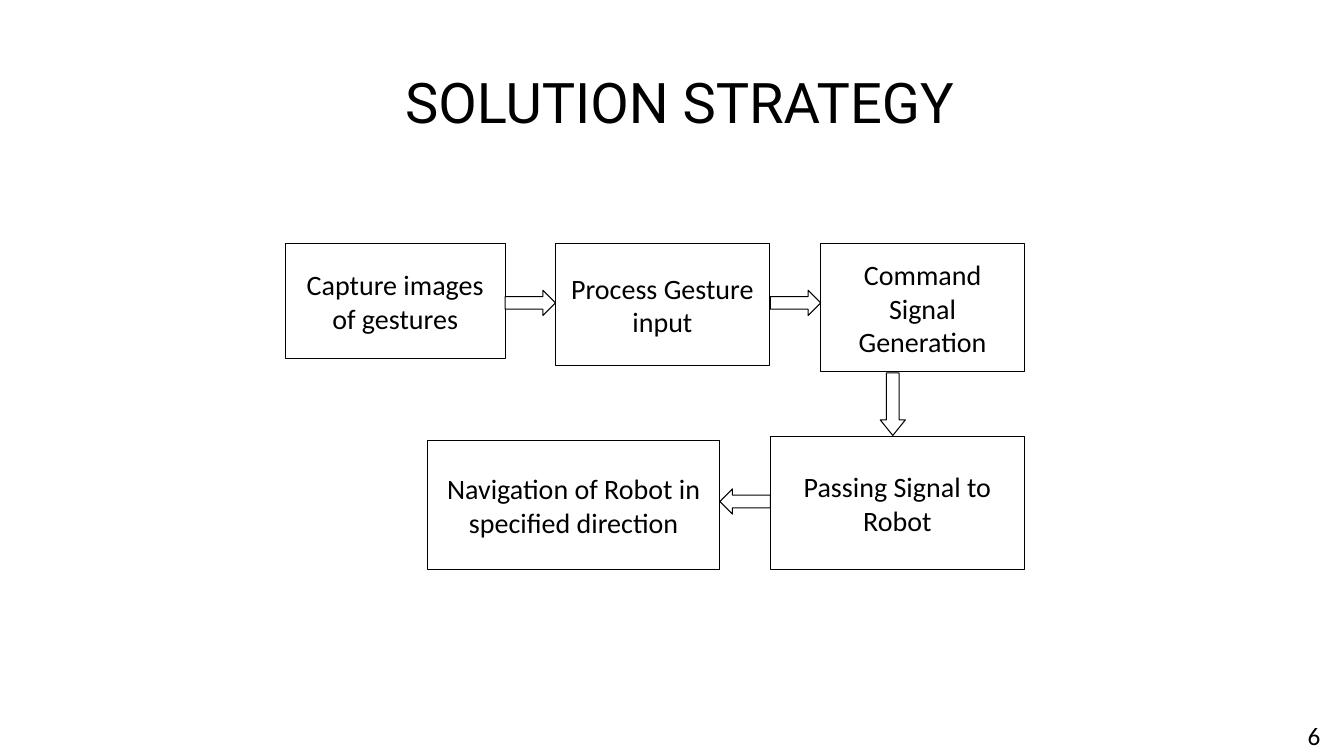
"""Build the solution strategy slide: five process steps joined by block arrows."""
import dataclasses

import pptx
import pptx.dml.color
import pptx.enum.shapes
import pptx.enum.text
import pptx.shapes.autoshape
import pptx.slide
import pptx.text.text
import pptx.util

Inches = pptx.util.Inches
Pt = pptx.util.Pt
SHAPE = pptx.enum.shapes.MSO_SHAPE
ALIGN = pptx.enum.text.PP_ALIGN
ANCHOR = pptx.enum.text.MSO_ANCHOR

COLORS = {"paper": "FFFFFF", "ink": "000000"}


@dataclasses.dataclass(frozen=True)
class Box:
    left: float
    top: float
    width: float
    height: float

    def emu(self) -> list[int]:
        return [Inches(v) for v in dataclasses.astuple(self)]


@dataclasses.dataclass(frozen=True)
class Step:
    text: str
    box: Box


@dataclasses.dataclass(frozen=True)
class Arrow:
    kind: SHAPE
    box: Box
    head: float = 0.5


STEPS = [
    Step("Capture images of gestures", Box(2.83, 2.42, 2.18, 1.14)),
    Step("Process Gesture input", Box(5.51, 2.42, 2.12, 1.21)),
    Step("Command Signal Generation", Box(8.14, 2.42, 2.02, 1.27)),
    Step("Passing Signal to Robot", Box(7.64, 4.33, 2.52, 1.32)),
    Step("Navigation of Robot in specified direction", Box(4.24, 4.37, 2.9, 1.28)),
]
ARROWS = [
    Arrow(SHAPE.RIGHT_ARROW, Box(5.01, 2.88, 0.5, 0.25)),
    Arrow(SHAPE.RIGHT_ARROW, Box(7.64, 2.88, 0.5, 0.25)),
    Arrow(SHAPE.DOWN_ARROW, Box(8.73, 3.7, 0.25, 0.62), head=0.62),
    Arrow(SHAPE.LEFT_ARROW, Box(7.14, 4.85, 0.5, 0.25)),
]


def rgb(name: str) -> pptx.dml.color.RGBColor:
    return pptx.dml.color.RGBColor.from_string(COLORS[name])


def write(tf: pptx.text.text.TextFrame, text: str, *, size: float,
          font: str = "Calibri", align: ALIGN = ALIGN.LEFT,
          anchor: ANCHOR = ANCHOR.TOP, after: float = 0) -> None:
    tf.word_wrap = True
    tf.vertical_anchor = anchor
    p = tf.paragraphs[0]
    p.alignment = align
    p.space_after = Pt(after)
    r = p.add_run()
    r.text = text
    r.font.size = Pt(size)
    r.font.name = font
    r.font.color.rgb = rgb("ink")


def add_outlined(s: pptx.slide.Slide, kind: SHAPE,
                 box: Box) -> pptx.shapes.autoshape.Shape:
    sp = s.shapes.add_shape(kind, *box.emu())
    sp.shadow.inherit = False
    sp.fill.solid()
    sp.fill.fore_color.rgb = rgb("paper")
    sp.line.color.rgb = rgb("ink")
    sp.line.width = Pt(0.75)
    return sp


def add_step(s: pptx.slide.Slide, step: Step) -> None:
    sp = add_outlined(s, SHAPE.RECTANGLE, step.box)
    write(sp.text_frame, step.text, size=20, align=ALIGN.CENTER,
          anchor=ANCHOR.MIDDLE, after=10)


def add_arrow(s: pptx.slide.Slide, arrow: Arrow) -> None:
    sp = add_outlined(s, arrow.kind, arrow.box)
    sp.adjustments[0] = 0.5
    sp.adjustments[1] = arrow.head


def add_label(s: pptx.slide.Slide, text: str, box: Box, *, size: float,
              font: str = "Calibri") -> None:
    tf = s.shapes.add_textbox(*box.emu()).text_frame
    write(tf, text, size=size, font=font)
    tf.auto_size = pptx.enum.text.MSO_AUTO_SIZE.SHAPE_TO_FIT_TEXT


def main() -> None:
    prs = pptx.Presentation()
    prs.slide_width, prs.slide_height = Inches(13.33), Inches(7.5)
    s = prs.slides.add_slide(prs.slide_layouts[6])
    s.background.fill.solid()
    s.background.fill.fore_color.rgb = rgb("paper")
    for step in STEPS:
        add_step(s, step)
    for arrow in ARROWS:
        add_arrow(s, arrow)
    add_label(s, "SOLUTION STRATEGY", Box(3.92, 0.62, 6.39, 0.77),
              size=40, font="Roboto")
    add_label(s, "6", Box(12.87, 7.1, 0.65, 0.4), size=18)
    prs.save("out.pptx")


if __name__ == "__main__":
    main()
